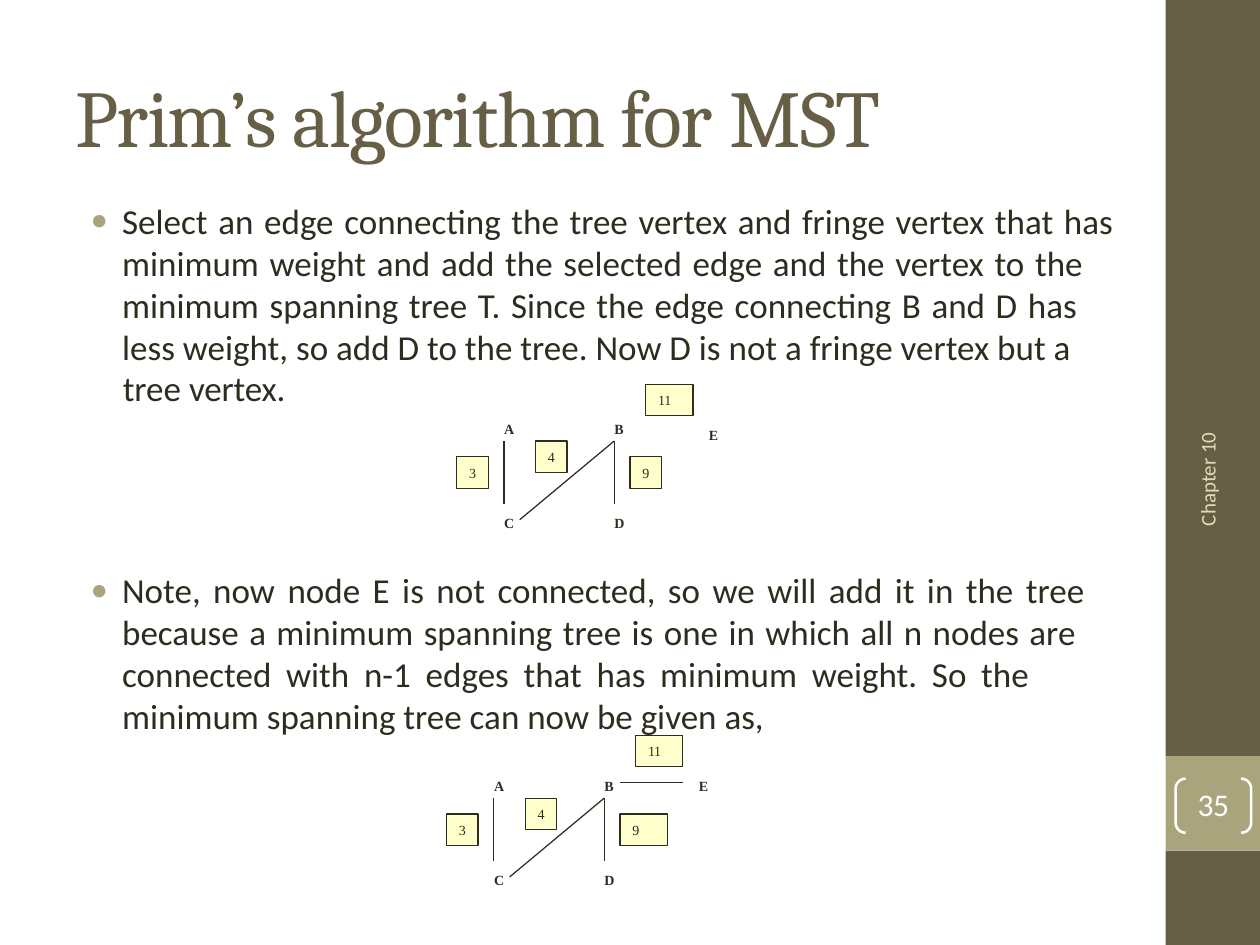
from lxml.etree import SubElement
from pptx import Presentation
from pptx.dml.color import RGBColor
from pptx.enum.shapes import MSO_CONNECTOR, MSO_SHAPE
from pptx.enum.text import MSO_ANCHOR, PP_ALIGN
from pptx.oxml.ns import qn
from pptx.util import Inches, Pt

COLORS = {"olive": "675E46", "sage": "A9A47B", "ink": "2E2B1F",
          "sand": "DFDCB7", "white": "FFFFFF", "cream": "FFFFCC"}
CELL = Inches(0.125)  # the slide is a grid of 80 columns by 60 rows
SERIF = "Times New Roman"

deck = Presentation()
deck.slide_width, deck.slide_height = 80 * CELL, 60 * CELL
slide = deck.slides.add_slide(deck.slide_layouts[6])
shapes = slide.shapes


def grid(*cells):
    return [round(n * CELL) for n in cells]


def write(holder, runs, size, color, font="Calibri", bold=False, inset=(0.01, 0.01)):
    """Fill the holder with (text, letter spacing in points) runs; return its paragraph."""
    frame = holder.text_frame
    frame.word_wrap = True
    frame.margin_left, frame.margin_top = Inches(inset[0]), Inches(inset[1])
    frame.margin_right = frame.margin_bottom = 0
    paragraph = frame.paragraphs[0]
    for text, spacing in runs:
        run = paragraph.add_run()
        run.text = text
        run.font.size, run.font.name, run.font.bold = Pt(size), font, bold
        run.font.color.rgb = RGBColor.from_string(COLORS[color])
        if spacing:
            run.font._element.set("spc", str(round(spacing * 100)))
    return paragraph


# Side band with the page number block
for top, rows, color in [(0, 48, "olive"), (48, 6, "sage"), (54, 6, "olive")]:
    band = shapes.add_shape(MSO_SHAPE.RECTANGLE, *grid(74, top, 6, rows))
    band.shadow.inherit = False
    band.fill.solid()
    band.fill.fore_color.rgb = RGBColor.from_string(COLORS[color])
    band.line.fill.background()

for left, side in [(74.64, MSO_SHAPE.LEFT_BRACKET), (78.8, MSO_SHAPE.RIGHT_BRACKET)]:
    bracket = shapes.add_shape(side, *grid(left, 49.44, 0.64, 3.44))
    bracket.adjustments[0] = 1
    bracket.shadow.inherit = False
    bracket.fill.background()
    bracket.line.color.rgb = RGBColor.from_string(COLORS["white"])
    bracket.line.width = Pt(1.44)

write(shapes.add_textbox(*grid(75.96, 49.76, 2.4, 2.64)), [("35", -0.2)], 18, "white")

chapter = shapes.add_textbox(*grid(76.08, 27.24, 1.52, 6.16))
chapter_line = write(chapter, [("Chapter ", 0), ("10", -0.2)], 12, "sand", inset=(0, 0))
chapter_line.line_spacing = Pt(12.4)
chapter.text_frame._txBody.bodyPr.set("vert", "vert270")

# Title and body
write(shapes.add_textbox(*grid(4.72, 1.44, 65.2, 9.2)),
      [("Prim’s ", -0.94), ("algorithm for ", -0.78), ("MST", -0.3)],
      46, "olive", "Cambria", inset=(0.01, 0.35))

# A tab closes each full line, so the next word starts a new one
steps = [
    (12.56, ["Select an edge connecting the tree vertex and fringe vertex that has \t",
             "minimum weight and add the selected edge and the vertex to the \t",
             "minimum spanning tree T. Since the edge connecting B and D has \t",
             "less weight, so add D to the tree. Now D is not a fringe vertex but a"]),
    (36, ["Note, now node E is not connected, so we will add it in the tree \t",
          "because a minimum spanning tree is one in which all n nodes are \t",
          "connected with n-1 edges that has minimum weight. So the \t",
          "minimum spanning tree can now be given as,"]),
]
for top, lines in steps:
    step = write(shapes.add_textbox(*grid(5.68, top, 64.32, 10.88)),
                 [(line, 0) for line in lines], 20, "ink", inset=(0, 0.01))
    step.alignment = PP_ALIGN.JUSTIFY
    props = step._p.get_or_add_pPr()
    props.set("marL", str(Inches(0.26)))
    props.set("indent", str(Inches(-0.25)))
    bullet_color = SubElement(props, qn("a:buClr"))
    SubElement(bullet_color, qn("a:srgbClr")).set("val", COLORS["sage"])
    SubElement(props, qn("a:buFont")).set("typeface", "Calibri")
    SubElement(props, qn("a:buChar")).set("char", "•")
    stop = SubElement(SubElement(props, qn("a:tabLst")), qn("a:tab"))
    stop.set("pos", str(Inches(0.26)))
    stop.set("algn", "l")

write(shapes.add_textbox(*grid(7.72, 23.2, 11.2, 2.88)),
      [("tree ", 0), ("vertex.", -0.1)], 20, "ink")

# Spanning trees: every position is counted in cells from vertex A
tree_edges = [(0, 0, 0, 4), (7, 0, 7, 4), (7, 0, 1, 5)]
vertices = {"A": (0, -1.4), "B": (7, -1.4), "C": (0, 4.6), "D": (7, 4.6)}
weights = [("3", -3, 1, 2), ("4", 2, 0, 2)]
trees = [
    (32, 28, tree_edges, {**vertices, "E": (13, -1)},
     weights + [("9", 8, 1, 2), ("11", 9, -3.6, 3)]),
    (31.36, 50.68, tree_edges + [(8, -1, 12, -1)], {**vertices, "E": (13, -1.4)},
     weights + [("9", 8, 1, 3), ("11", 9, -4, 3)]),
]
for x, y, edges, names, tags in trees:
    for x1, y1, x2, y2 in edges:
        edge = shapes.add_connector(MSO_CONNECTOR.STRAIGHT,
                                    *grid(x + x1, y + y1, x + x2, y + y2))
        edge.line.color.rgb = RGBColor.from_string(COLORS["ink"])
        edge.line.width = Pt(0.72)
        SubElement(edge._element.spPr, qn("a:effectLst"))
    for name, (dx, dy) in names.items():
        write(shapes.add_textbox(*grid(x + dx - 0.06, y + dy, 0.9, 1.28)),
              [(name, 0)], 8, "ink", SERIF, bold=True)
    for weight, dx, dy, columns in tags:
        tag = shapes.add_shape(MSO_SHAPE.RECTANGLE, *grid(x + dx, y + dy, columns, 2))
        tag.shadow.inherit = False
        tag.fill.solid()
        tag.fill.fore_color.rgb = RGBColor.from_string(COLORS["cream"])
        tag.line.color.rgb = RGBColor.from_string(COLORS["ink"])
        tag.line.width = Pt(0.72)
        wide = columns > 2
        label = write(tag, [(weight, -0.2 if wide else 0)], 8, "ink", SERIF,
                      inset=(0.1 if wide else 0, 0))
        label.alignment = PP_ALIGN.LEFT if wide else PP_ALIGN.CENTER
        tag.text_frame.vertical_anchor = MSO_ANCHOR.MIDDLE

deck.save("out.pptx")
